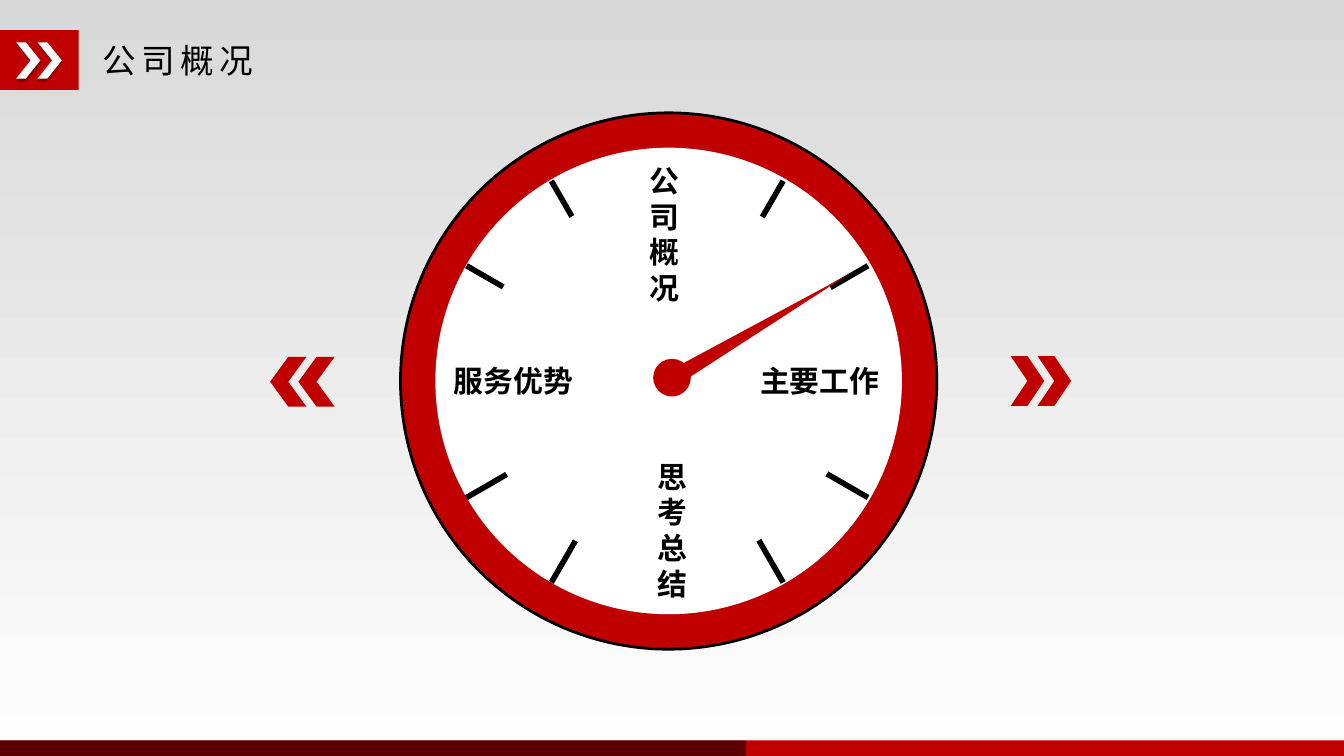
from math import cos, radians, sin

from lxml import etree
from pptx import Presentation
from pptx import util as u
from pptx.dml.color import RGBColor
from pptx.enum import shapes, text
from pptx.oxml import ns

RED = RGBColor(0xC0, 0x00, 0x00)
BLACK = RGBColor(0x00, 0x00, 0x00)
WHITE = RGBColor(0xFF, 0xFF, 0xFF)
PALE = RGBColor(0xFE, 0xFE, 0xFE)
GREY = RGBColor(0xD9, 0xD9, 0xD9)
FONT = "Noto Sans CJK SC"
KIND = shapes.MSO_SHAPE

# A 16:9 slide on a grid of 1000 columns by 562.5 rows
COLS, ROWS = 1000, 562.5
CELL = u.Inches(10) // COLS


def cells(*nums):
    return [u.Emu(round(n * CELL)) for n in nums]


def add(parent, tag, **attrs):
    return etree.SubElement(parent, ns.qn(tag), **attrs)


def paint(shape, fill, line=None):
    shape.shadow.inherit = False
    shape.fill.solid()
    shape.fill.fore_color.rgb = fill
    if line:
        shape.line.color.rgb = line
        shape.line.width = u.Pt(1.5)
    else:
        shape.line.fill.background()
    return shape


def draw(slide, kind, box, fill, line=None):
    return paint(slide.shapes.add_shape(kind, *cells(*box)), fill, line)


def disc(slide, mid, rad, fill, line=None):
    x, y = mid
    return draw(slide, KIND.OVAL, (x - rad, y - rad, 2 * rad, 2 * rad), fill, line)


def write(shape, words, size=16, bold=False, align=text.PP_ALIGN.CENTER,
          wrap=False, gap=0):
    frame = shape.text_frame
    frame.word_wrap = wrap
    frame.auto_size = text.MSO_AUTO_SIZE.NONE
    frame.vertical_anchor = text.MSO_ANCHOR.TOP
    para = frame.paragraphs[0]
    para.alignment = align
    para.line_spacing = u.Pt(1.2 * size)
    run = para.add_run()
    run.text = words
    font = run.font
    font.name, font.size, font.bold = FONT, u.Pt(size), bold
    font.color.rgb = BLACK
    props = font._element
    props.set("spc", str(gap * 100))
    add(props, "a:ea", typeface=FONT)


def cast(shape):
    """Give a shape a soft drop shadow."""
    effects = shape._element.spPr.find(ns.qn("a:effectLst"))
    shade = add(effects, "a:outerShdw", blurRad="12700", dist="12700",
                dir="5400000", algn="t", rotWithShape="0")
    color = add(shade, "a:srgbClr", val="000000")
    add(color, "a:alpha", val="40000")


def arrows(slide, box, wide, adj=0.5, turn=0, fill=RED, shade=False):
    """Two chevrons, one at each end of the box."""
    x, y, w, h = box
    for left in (x, x + w - wide):
        mark = draw(slide, KIND.CHEVRON, (left, y, wide, h), fill)
        mark.adjustments[0] = adj
        mark.rotation = turn
        if shade:
            cast(mark)


def head(slide, box):
    x, y, w, h = box
    draw(slide, KIND.RECTANGLE, (x, y, 58.5, h), RED)
    arrows(slide, (x + 12, y + 9, 34, 27), 18, adj=0.6, fill=WHITE, shade=True)
    title = slide.shapes.title
    title.left, title.top, title.width, title.height = cells(x + 66, y + 2, w - 66, 40)
    write(title, "公司概况", size=18, align=text.PP_ALIGN.LEFT, gap=3)


def foot(slide, box):
    x, y, w, h = box
    draw(slide, KIND.RECTANGLE, box, RED)
    dark = draw(slide, KIND.RECTANGLE, (x, y, 555, h), BLACK)
    color = dark._element.spPr.find(ns.qn("a:solidFill"))[0]
    add(color, "a:alpha", val="52000")


def ticks(slide, mid, rad):
    """Diameters at the hours between the four labels."""
    x, y = mid
    for deg in (30, 60, 120, 150):
        dx, dy = rad * cos(radians(deg)), rad * sin(radians(deg))
        ends = cells(x + dx, y + dy, x - dx, y - dy)
        line = slide.shapes.add_connector(shapes.MSO_CONNECTOR.STRAIGHT, *ends)
        line.line.color.rgb = BLACK
        line.line.width = u.Pt(3)
        add(line._element.spPr, "a:effectLst")


def hand(slide, hub):
    x, y = hub
    disc(slide, hub, 14, RED)
    points = [(x + 2, y + 7), (x - 4, y - 4), (x + 130, y - 76)]
    path = slide.shapes.build_freeform(*points[0], scale=CELL)
    path.add_line_segments(points[1:], close=True)
    paint(path.convert_to_shape(), RED)


def dial(slide, box):
    x, y, w, h = box
    rad = w / 2
    mid = (x + rad, y + rad)
    disc(slide, mid, rad, RED, line=BLACK)
    disc(slide, mid, 0.87 * rad, WHITE)
    ticks(slide, (x + 198.5, y + 200), 172.5)

    # Inner face hides the middle of the ticks
    hub = (x + 202, y + 197)
    disc(slide, (x + 198, y + 197), 139, WHITE)
    hand(slide, hub)

    # Narrow boxes wrap to one character per line
    labels = [
        ("公司概况", 174, 32, 44, 118),
        ("主要工作", 257, 181, 110, 37),
        ("思考总结", 178, 252, 49, 118),
        ("服务优势", 29, 181, 110, 37),
    ]
    for words, dx, dy, wide, tall in labels:
        label = slide.shapes.add_textbox(*cells(x + dx, y + dy, wide, tall))
        write(label, words, bold=True, wrap=tall > wide)


def main():
    deck = Presentation()
    deck.slide_width, deck.slide_height = cells(COLS, ROWS)
    slide = deck.slides.add_slide(deck.slide_layouts[5])

    # Backdrop, pale at the foot
    fill = slide.background.fill
    fill.gradient()
    fill.gradient_angle = 90
    for stop, color in zip(fill.gradient_stops, (PALE, GREY)):
        stop.color.rgb = color

    foot(slide, (0, 551, COLS, ROWS - 551))
    head(slide, (0, 22.5, 204, 44.5))
    dial(slide, (298, 84, 399, 399))

    # Arrows on both sides of the dial
    arrows(slide, (201, 265.5, 48, 37), 27, turn=180)
    arrows(slide, (752, 265, 45, 37), 25)
    deck.save("out.pptx")


if __name__ == "__main__":
    main()
